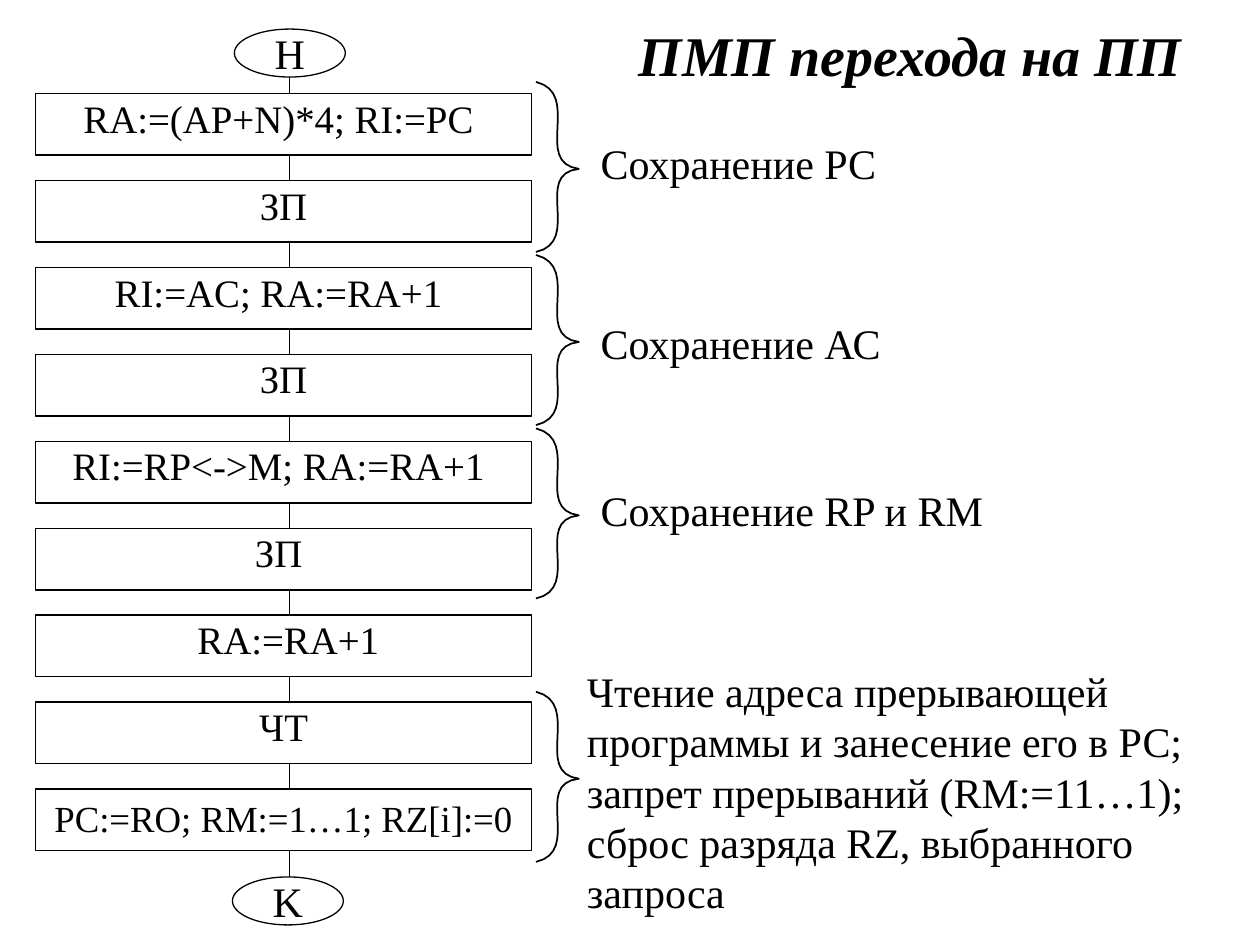
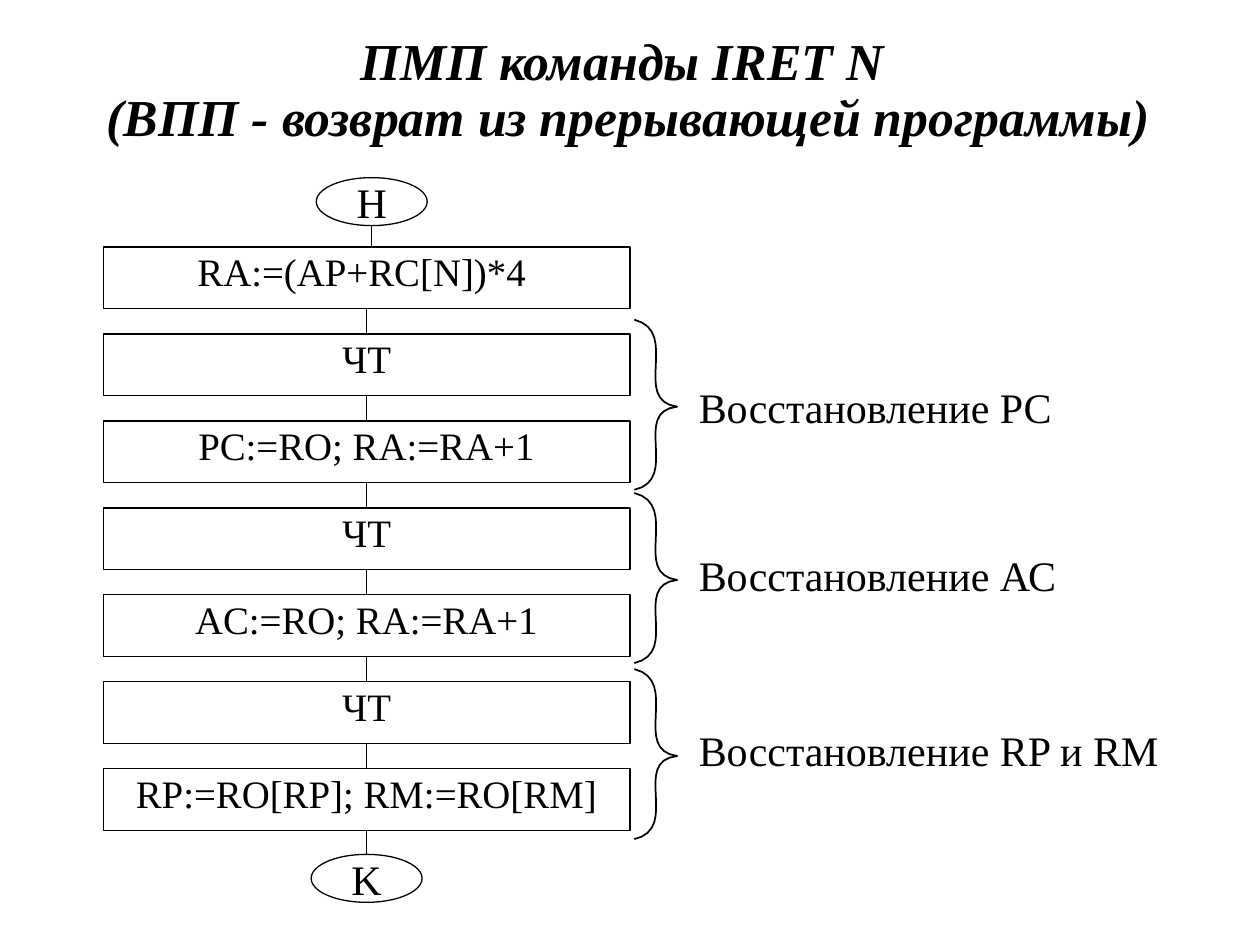
from dataclasses import dataclass
from pptx import Presentation
from pptx.dml.color import RGBColor
from pptx.enum import shapes, text
from pptx.oxml.ns import qn
from pptx.util import Pt


@dataclass(frozen=True)
class Theme:
    font: str = "Times New Roman"
    ink: RGBColor = RGBColor(0, 0, 0)
    thin: float = 0.75
    curve: float = 1
    label: float = 24
    step: float = 22.2
    small: float = 21
    head: float = 32
    wide: float = 29.6


T = Theme()
OVAL = shapes.MSO_SHAPE.OVAL
RECT = shapes.MSO_SHAPE.RECTANGLE
MID = text.MSO_ANCHOR.MIDDLE
TOP = text.MSO_ANCHOR.TOP
CENTER = text.PP_ALIGN.CENTER
LEFT = text.PP_ALIGN.LEFT

BOX_H, PITCH = 35.3, 49.7
OVAL_W, OVAL_H = 63.4, 27.4

# Brace halves as cubic control points, measured from the tip
UPPER = [(0, 0), (-26.6, -3.6), (2.2, -43), (-24.5, -49.7)]
LOWER = [(0, 0), (-26.6, 2.9), (2.2, 41.5), (-24.5, 47.5)]


# Text
def write(shape, words, size, align=LEFT, anchor=TOP, gap=None, bold=False,
          pad=(7.2, 3.6)):
    frame = shape.text_frame
    frame.text = words
    frame.word_wrap = True
    frame.vertical_anchor = anchor
    frame.margin_left = frame.margin_right = Pt(pad[0])
    frame.margin_top = frame.margin_bottom = Pt(pad[1])
    for para in frame.paragraphs:
        para.alignment = align
        para.line_spacing = gap
        for run in para.runs:
            font = run.font
            font.name, font.size = T.font, Pt(size)
            font.bold = font.italic = bold
            font.color.rgb = T.ink


def label(slide, x, y, w, h, words, size=T.label, **style):
    box = slide.shapes.add_textbox(Pt(x), Pt(y), Pt(w), Pt(h))
    write(box, words, size, **style)


def title(slide, x, y, w, h, words, size, gap=None):
    label(slide, x, y, w, h, words, size, align=CENTER, anchor=MID,
          gap=gap, bold=True)


# Outlined shapes
def outline(shape, width):
    shape.shadow.inherit = False
    shape.fill.background()
    shape.line.color.rgb = T.ink
    shape.line.width = Pt(width)
    return shape


def block(slide, kind, x, y, w, h):
    shape = slide.shapes.add_shape(kind, Pt(x), Pt(y), Pt(w), Pt(h))
    return outline(shape, T.thin)


def end(slide, mid, y, words):
    oval = block(slide, OVAL, mid - OVAL_W / 2, y, OVAL_W, OVAL_H)
    write(oval, words, T.label, align=CENTER, anchor=MID, pad=(0, 0))
    return oval


def step(slide, x, y, w, words, size=T.step, gap=0.9):
    box = block(slide, RECT, x, y, w, BOX_H)
    write(box, words, size, align=CENTER, gap=gap)
    return box


def link(slide, x, up, low):
    """Draw a stem at x, joined to each box whose middle it meets."""
    line = slide.shapes.add_connector(
        shapes.MSO_CONNECTOR.STRAIGHT, Pt(x), up.top + up.height, Pt(x), low.top)
    line.line.color.rgb = T.ink
    line.line.width = Pt(T.thin)
    props = line._element.spPr
    props.append(props.makeelement(qn("a:effectLst"), {}))

    def meets(shape):
        mid = shape.left + shape.width / 2
        return abs(mid - Pt(x)) < Pt(1)

    if up.auto_shape_type == RECT and meets(up):
        line.begin_connect(up, 2)
    if meets(low):
        line.end_connect(low, 0)


def bend(points, count=16):
    """Sample a cubic curve from its four control points."""
    for i in range(count + 1):
        t = i / count
        mix = ((1 - t) ** 3, 3 * t * (1 - t) ** 2, 3 * t * t * (1 - t), t ** 3)
        yield tuple(sum(m * p[k] for m, p in zip(mix, points)) for k in (0, 1))


def brace(slide, x, y):
    dots = list(bend(UPPER))[::-1] + list(bend(LOWER))[1:]
    path = [(Pt(x + dx), Pt(y + dy)) for dx, dy in dots]
    pen = slide.shapes.build_freeform(*path[0])
    pen.add_line_segments(path[1:], close=False)
    outline(pen.convert_to_shape(), T.curve)


# Flowchart: start oval, evenly spaced steps, end oval
def flow(slide, x, y, w, stem, first, last, steps):
    """first and last are the (middle, top) of the two ovals."""
    start = end(slide, *first, "Н")
    boxes = [step(slide, x, y + i * PITCH, w, *item)
             for i, item in enumerate(steps)]
    stop = end(slide, *last, "K")
    link(slide, first[0], start, boxes[0])
    for up, low in zip(boxes, boxes[1:] + [stop]):
        link(slide, stem, up, low)


def enter(slide):
    title(slide, 353.5, 11.5, 333.4, 38.9, "ПМП перехода на ПП", T.head)
    flow(slide, 20.2, 53.3, 283.6, 165.6, (165.6, 16.6), (164.5, 501.1), [
        ("RA:=(AP+N)*4; RI:=PC ",), ("ЗП",),
        ("RI:=AC; RA:=RA+1 ",), ("ЗП",),
        ("RI:=RP<->M; RA:=RA+1 ",), ("ЗП ",),
        (" RA:=RA+1",), ("ЧТ",),
        ("PC:=RO; RM:=1…1; RZ[i]:=0", T.small, None)])
    for y in (96.5, 195.4, 294.5, 445):
        brace(slide, 330.8, y)
    for y, words in ((74.9, "РС"), (177.8, "АС"), (273.6, "RP и RM")):
        label(slide, 336.2, y, 330, 36, "Сохранение " + words)
    label(slide, 328.3, 376.6, 391.7, 155.5,
          "Чтение адреса прерывающей программы и занесение его в РС;\n"
          "запрет прерываний (RM:=11…1);\n"
          "сброс разряда RZ, выбранного запроса")


def leave(slide):
    title(slide, 18, 11.5, 682.6, 81.4,
          "ПМП команды IRET N \v(ВПП - возврат из прерывающей программы)",
          T.wide, 0.9)
    flow(slide, 59, 141.1, 301, 209.5, (212.4, 101.5), (209.5, 488.2), [
        ("RA:=(AP+RC[N])*4 ",), ("ЧТ",),
        ("PC:=RO; RA:=RA+1",), ("ЧТ",),
        ("AC:=RO; RA:=RA+1",), ("ЧТ",),
        ("RP:=RO[RP]; RM:=RO[RM]",)])
    for tip, y, words in ((232.4, 214.6, "РС"), (331.4, 310.3, "АС"),
                          (432, 410.6, "RP и RM")):
        brace(slide, 387, tip)
        label(slide, 392.2, y, 303, 36, "Восстановление " + words)


def main():
    deck = Presentation()
    deck.slide_width, deck.slide_height = Pt(720), Pt(540)
    for draw in (enter, leave):
        draw(deck.slides.add_slide(deck.slide_layouts[6]))
    deck.save("out.pptx")


if __name__ == "__main__":
    main()
